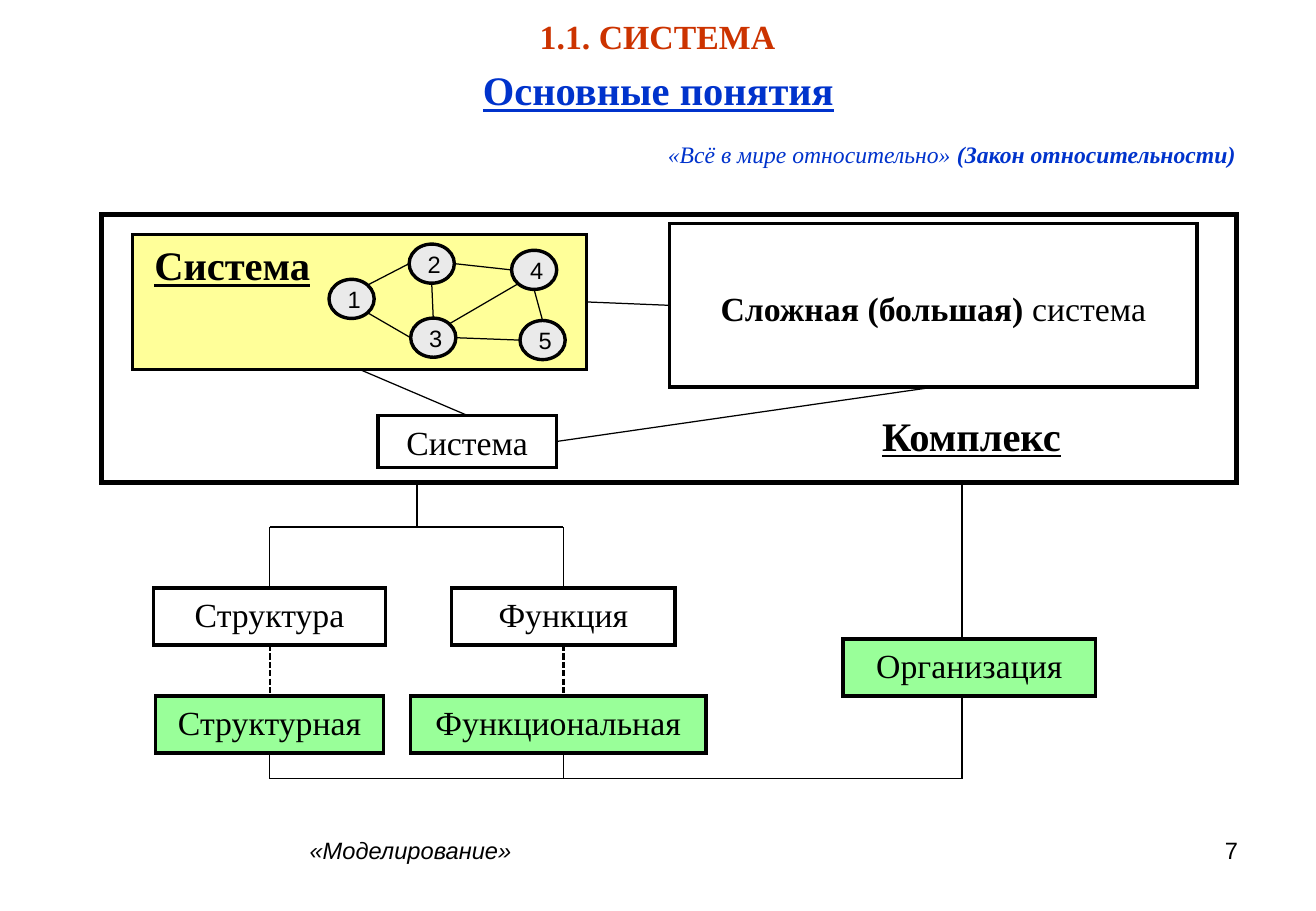
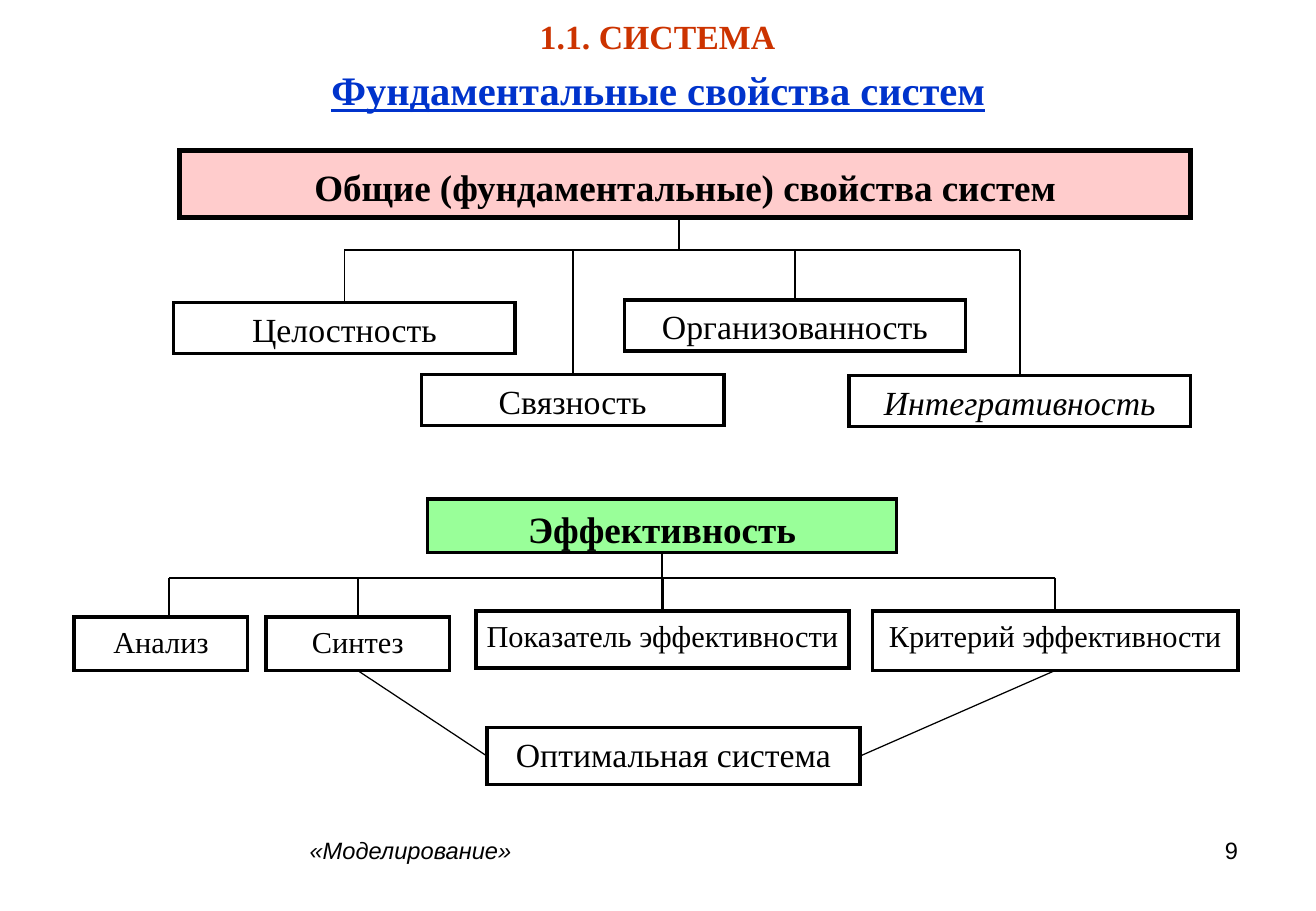
"""Builds two diagram slides on systems and their properties."""
from math import cos, pi, sin

from lxml import etree
from pptx import Presentation
from pptx.dml.color import RGBColor
from pptx.enum import dml, shapes, text
from pptx.oxml.ns import qn
from pptx.util import Pt

SERIF, SANS = "Times New Roman", "Arial"
BLACK, WHITE, RED, BLUE = "000000", "FFFFFF", "CC3300", "0033CC"
GREEN, YELLOW, PINK, GREY = "99FF99", "FFFF99", "FFCCCC", "EAEAEA"
LEFT, MID, RIGHT = text.PP_ALIGN.LEFT, text.PP_ALIGN.CENTER, text.PP_ALIGN.RIGHT
TOP, MIDDLE, BOTTOM = text.MSO_ANCHOR.TOP, text.MSO_ANCHOR.MIDDLE, text.MSO_ANCHOR.BOTTOM
N, W, S, E = range(4)

QUOTE = [("«Всё в мире относительно» ", "i"), ("(Закон относительности)", "bi")]

CONCEPTS = {
    "complex": ([("Комплекс", "bu")], (60, 127, 673, 159), None,
                dict(size=24, line=3, anchor=BOTTOM, pad=(360, 0, 1.4, 13.5))),
    "large": ([("Сложная (большая) ", "b"), ("система", "")],
              (397, 132.5, 312.5, 97), WHITE, dict(anchor=MIDDLE)),
    "core": ([("Система", "bu")], (78.5, 139, 269.3, 80), YELLOW,
             dict(size=24, align=LEFT, pad=(13, 3.6, 1.4, 0.7))),
    "system": ([("Система", "")], (224, 246.2, 105.8, 31), WHITE, {}),
    "form": ([("Структура", "")], (91, 348.5, 137.6, 33.8), WHITE, {}),
    "role": ([("Функция", "")], (267.75, 348.5, 132.5, 33.8), WHITE, {}),
    "formal": ([("Структурная", "")], (92.1, 412.6, 135.4, 33.8), GREEN, {}),
    "active": ([("Функциональная", "")], (243.4, 412.6, 175, 33.8), GREEN, {}),
    "order": ([("Организация", "")], (499.7, 378.7, 149.8, 33.8), GREEN, {}),
}
NODES = {"1": (195, 165.6), "2": (242.5, 144.7), "3": (243.4, 188.6),
         "4": (303.2, 148.4), "5": (308.2, 190)}
NODE = (26.8, 23.2)
EDGES = [("1", 7, "2", 2), ("1", 5, "3", 2), ("2", 4, "3", 0), ("2", 6, "4", 2),
         ("3", 7, "4", 3), ("3", 6, "5", 2), ("4", 4, "5", 0)]

TRAITS = {
    "traits": ([("Общие (фундаментальные) свойства систем", "b")],
               (106.6, 89.3, 599, 39.6), PINK, dict(size=22, line=3, anchor=MIDDLE)),
    "whole": ([("Целостность", "")], (103, 179.3, 202.3, 30.2), WHITE, {}),
    "link": ([("Связность", "")], (249.8, 222, 179.3, 30.2), WHITE, {}),
    "order": ([("Организованность", "")], (370, 177.8, 202.3, 30.2), WHITE, {}),
    "unity": ([("Интегративность", "i")], (503.3, 222.5, 202.3, 30.2), WHITE, {}),
    "effect": ([("Эффективность", "b")], (253.4, 295.9, 278, 31.7), GREEN,
               dict(size=22, anchor=MIDDLE)),
    "study": ([("Анализ", "")], (43.9, 365.8, 103, 31.7), WHITE, dict(size=18)),
    "build": ([("Синтез", "")], (157.7, 365.8, 108.7, 31.7), WHITE, dict(size=18)),
    "index": ([("Показатель эффективности", "")], (282.2, 362.2, 221, 33.8), WHITE,
              dict(size=18)),
    "test": ([("Критерий эффективности", "")], (517, 362.2, 216.7, 35.3), WHITE,
             dict(size=18)),
    "best": ([("Оптимальная система", "")], (288.7, 431.3, 221, 33.8), WHITE, {}),
}


def rgb(code):
    """Turn a hex string into a colour."""
    return RGBColor.from_string(code)


def write(shape, runs, size, align, font=SERIF, color=BLACK, anchor=TOP, pad=None):
    """Fill a shape with styled runs."""
    frame = shape.text_frame
    frame.word_wrap = True
    frame.vertical_anchor = anchor
    if pad:
        (frame.margin_left, frame.margin_top,
         frame.margin_right, frame.margin_bottom) = map(Pt, pad)
    para = frame.paragraphs[0]
    para.alignment = align
    for words, style in runs:
        run = para.add_run()
        run.text = words
        face = run.font
        face.name, face.size, face.color.rgb = font, Pt(size), rgb(color)
        face.bold, face.italic, face.underline = (mark in style for mark in "biu")
    return para


def label(slide, place, runs, size, align=LEFT, font=SERIF, color=BLACK):
    """Add a text box."""
    write(slide.shapes.add_textbox(*map(Pt, place)), runs, size, align, font, color)


def solid(slide, kind, place, fill, line=2):
    """Add an outlined shape with square corners."""
    shape = slide.shapes.add_shape(kind, *map(Pt, place))
    shape.shadow.inherit = False
    if fill:
        shape.fill.solid()
        shape.fill.fore_color.rgb = rgb(fill)
    else:
        shape.fill.background()
    shape.line.color.rgb = rgb(BLACK)
    shape.line.width = Pt(line)
    miter = etree.SubElement(shape._element.spPr.find(qn("a:ln")), qn("a:miter"))
    miter.set("lim", "800000")
    return shape


def draw(slide, items):
    """Add the labelled boxes and return them by name."""
    boxes = {}
    for name, (runs, place, fill, extra) in items.items():
        look = dict(size=20, align=MID, pad=(1.4, 3.6, 1.4, 0.7)) | extra
        line = look.pop("line", 2)
        boxes[name] = solid(slide, shapes.MSO_SHAPE.RECTANGLE, place, fill, line)
        write(boxes[name], runs, **look)
    return boxes


def spot(boxes, end):
    """Give the coordinates of a point or of the middle of a box side."""
    if not isinstance(end[0], str):
        return end
    box, side = boxes[end[0]], end[1]
    across = {W: 0, E: 1}.get(side, 0.5)
    down = {N: 0, S: 1}.get(side, 0.5)
    return (box.left.pt + across * box.width.pt, box.top.pt + down * box.height.pt)


def wire(slide, boxes, start, end, width=0.75, dash=False):
    """Add a line, joined to any box named at its ends."""
    ends = spot(boxes, start) + spot(boxes, end)
    line = slide.shapes.add_connector(shapes.MSO_CONNECTOR.STRAIGHT, *map(Pt, ends))
    line.line.color.rgb = rgb(BLACK)
    line.line.width = Pt(width)
    if dash:
        line.line.dash_style = dml.MSO_LINE.SQUARE_DOT
    etree.SubElement(line._element.spPr, qn("a:effectLst"))
    for point, join in ((start, line.begin_connect), (end, line.end_connect)):
        if isinstance(point[0], str):
            join(boxes[point[0]], point[1])


def tree(slide, boxes, level, ends, width=1):
    """Add a level bar with an upright line to each end."""
    marks = [spot(boxes, end)[0] for end in ends]
    wire(slide, boxes, (min(marks), level), (max(marks), level), width)
    for mark, end in zip(marks, ends):
        wire(slide, boxes, (mark, level), end, width)


def rim(node, site):
    """Give one of eight points on the edge of a node, from the top leftwards."""
    turn = site * pi / 4
    return tuple(low + span / 2 * (1 - move(turn))
                 for low, span, move in zip(NODES[node], NODE, (sin, cos)))


def graph(slide):
    """Add the numbered nodes and their edges."""
    for name, place in NODES.items():
        dot = solid(slide, shapes.MSO_SHAPE.OVAL, place + NODE, GREY)
        para = write(dot, [(name, "")], 14, MID, SANS, anchor=MIDDLE)
        para.space_after = Pt(6)
    for start, out, end, into in EDGES:
        wire(slide, {}, rim(start, out), rim(end, into))


def page(deck, title, number):
    """Add a slide with its headings and footer."""
    slide = deck.slides.add_slide(deck.slide_layouts[6])
    label(slide, (15, 6, 749.5, 27), [("1.1. СИСТЕМА", "b")], 20, MID, color=RED)
    label(slide, (21.6, 35.3, 737.3, 36), [(title, "bu")], 24, MID, color=BLUE)
    label(slide, (176.4, 491.8, 380, 37.4), [("«Моделирование»", "i")], 14, font=SANS)
    label(slide, (558.7, 491.8, 182.2, 37.4), [(number, "")], 14, RIGHT, SANS)
    return slide


def main():
    """Build and save the slides."""
    deck = Presentation()
    deck.slide_width, deck.slide_height = Pt(780), Pt(540)

    slide = page(deck, "Основные понятия", "7")
    label(slide, (388.8, 79.2, 363, 24.5), QUOTE, 14, color=BLUE)
    boxes = draw(slide, CONCEPTS)
    graph(slide)
    wire(slide, boxes, ("core", E), ("large", W))
    wire(slide, boxes, ("system", E), ("large", S))
    wire(slide, boxes, ("core", S), ("system", N))
    tree(slide, boxes, 312.5, [(247, 286), ("form", N), ("role", N)])
    wire(slide, boxes, ("form", S), ("formal", N), 1.25, True)
    wire(slide, boxes, ("role", S), (334, 412.6), 1.25, True)
    tree(slide, boxes, 461.5, [("formal", S), (334, 446.4), (570.2, 412.5)])
    wire(slide, boxes, (570.2, 286), (570.2, 378.7), 1)

    slide = page(deck, "Фундаментальные свойства систем", "9")
    boxes = draw(slide, TRAITS)
    tops = [(name, N) for name in ("whole", "link", "order", "unity")]
    tree(slide, boxes, 148.3, [(402.5, 128.9)] + tops)
    tops = [(name, N) for name in ("build", "index", "test")]
    tree(slide, boxes, 342.4, [("effect", S), (100.1, 365.8)] + tops, 1.25)
    wire(slide, boxes, ("build", S), ("best", W))
    wire(slide, boxes, ("test", S), ("best", E))
    deck.save("out.pptx")


if __name__ == "__main__":
    main()
